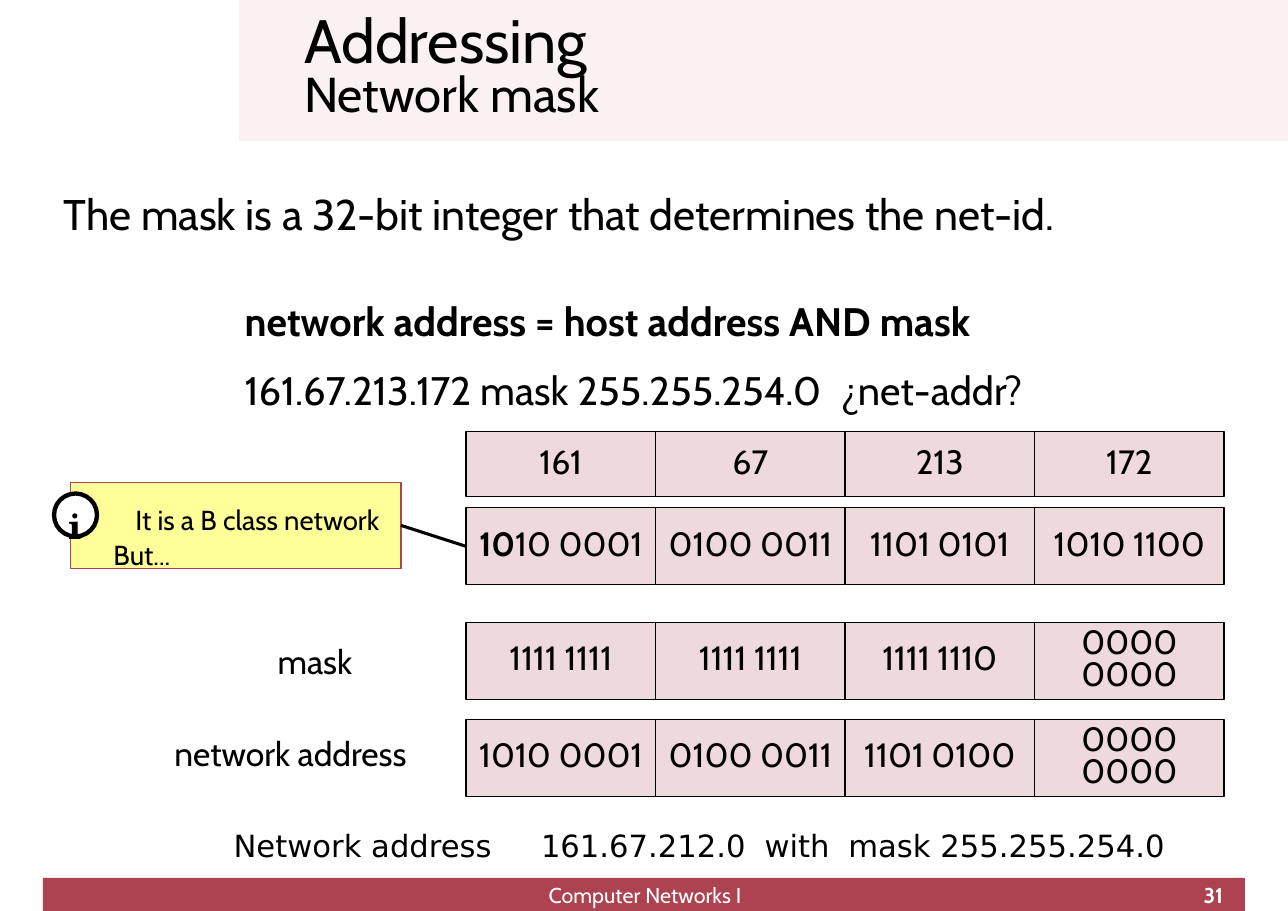
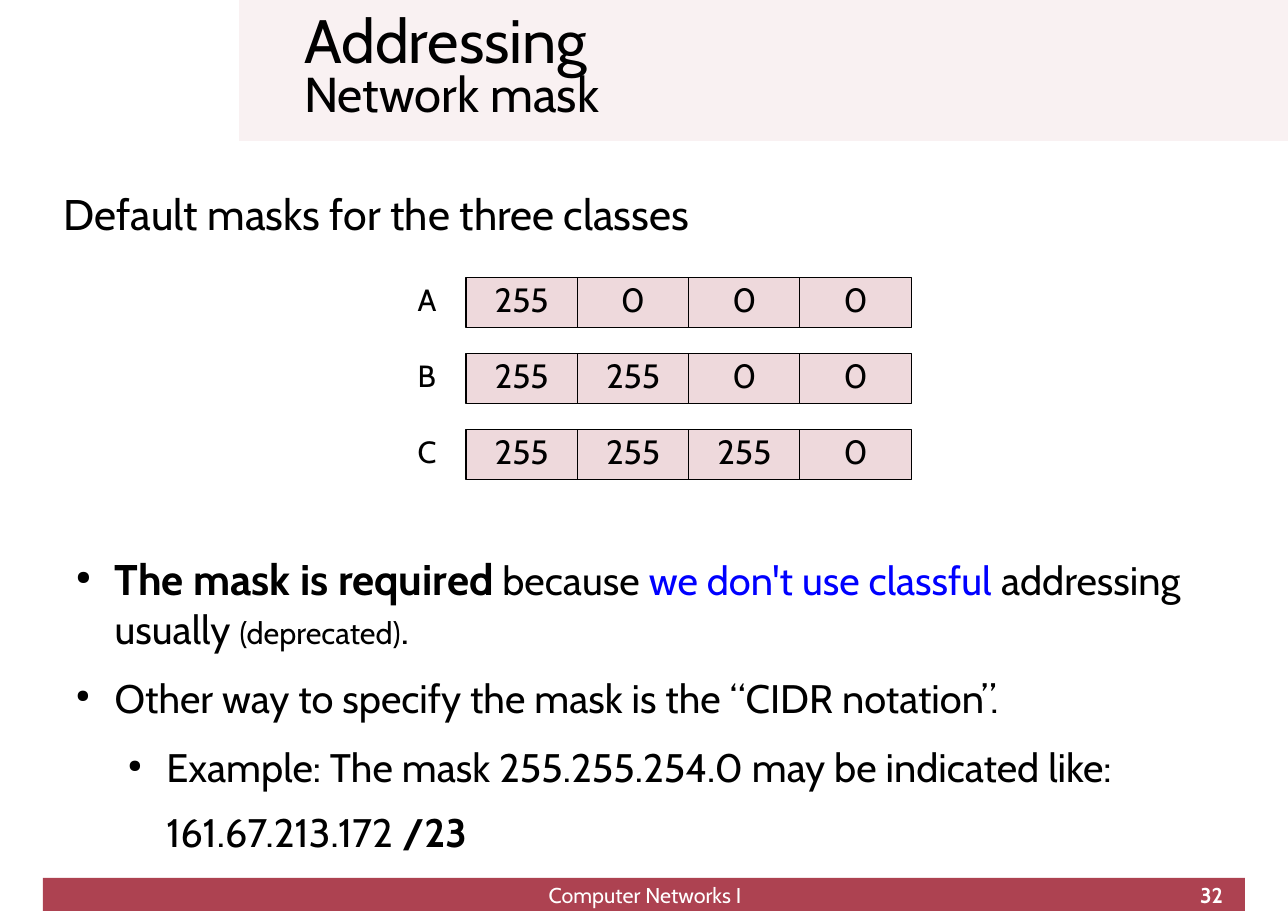
import pptx
import pptx.util
import pptx.dml.color
import pptx.enum.shapes
import pptx.enum.text
from lxml import etree

Inches, Pt = pptx.util.Inches, pptx.util.Pt
Rgb = pptx.dml.color.RGBColor.from_string
Kind = pptx.enum.shapes.MSO_SHAPE
Align = pptx.enum.text.PP_ALIGN
Anchor = pptx.enum.text.MSO_ANCHOR

THEME = {
    "font": "Cabin", "black": "000000", "white": "FFFFFF", "blue": "0000FF",
    "band": "F9F1F2", "wine": "AD4251", "cell": "EED9DC", "note": "FFFF99",
    "title": 40, "sub": 32, "lead": 28, "body": 26, "icon": 24,
    "grid": 22, "small": 20, "hint": 18, "foot": 14,
}


def write(shape, paras, size, align=Align.LEFT, line=None, after=None,
          anchor=Anchor.TOP, inset=(0, 0), **base):
    """Fill a shape; each paragraph is a string or a list of (text, format) runs."""
    frame = shape.text_frame
    frame.word_wrap = True
    frame.vertical_anchor = anchor
    frame.margin_left, frame.margin_top = [Inches(n) for n in inset]
    frame.margin_right = frame.margin_bottom = 0
    for i, runs in enumerate(paras):
        para = frame.add_paragraph() if i else frame.paragraphs[0]
        para.alignment = align
        para.line_spacing = line
        if after:
            para.space_after = Pt(after)
        if isinstance(runs, str):
            runs = [(runs, {})]
        for text, extra in runs:
            if text == "\v":
                para.add_line_break()
                continue
            look = {"size": size, "color": "black", "font": THEME["font"],
                    "bold": False, **base, **extra}
            run = para.add_run()
            run.text = text
            run.font.name = look["font"]
            run.font.size = Pt(THEME[look["size"]])
            run.font.bold = look["bold"]
            run.font.color.rgb = Rgb(THEME[look["color"]])
    return frame.paragraphs


def draw(slide, box, fill=None, edge=None, width=0, kind=Kind.RECTANGLE):
    """Add a flat shape, or a text box when there is no fill."""
    place = [Inches(n) for n in box]
    if fill is None:
        return slide.shapes.add_textbox(*place)
    shape = slide.shapes.add_shape(kind, *place)
    shape.shadow.inherit = False
    shape.fill.solid()
    shape.fill.fore_color.rgb = Rgb(THEME[fill])
    if edge:
        shape.line.color.rgb = Rgb(THEME[edge])
        shape.line.width = Pt(width)
    else:
        shape.line.fill.background()
    return shape


deck = pptx.Presentation()
deck.slide_width, deck.slide_height = Inches(11.69), Inches(8.27)

# Shared frame
slides = []
for number, lead in [(31, "The mask is a 32-bit integer that determines the net-id."),
                     (32, "Default masks for the three classes")]:
    slide = deck.slides.add_slide(deck.slide_layouts[6])
    slides.append(slide)
    draw(slide, (2.17, 0, 9.52, 1.28), "band")
    draw(slide, (0.39, 7.97, 10.91, 0.3), "wine")
    write(draw(slide, (2.76, -0.06, 8.35, 1.38)),
          [[("Addressing", {}), ("\v", {}), ("Network mask", {"size": "sub"})]],
          "title", line=0.8, anchor=Anchor.MIDDLE)
    write(draw(slide, (0.58, 1.7, 10.52, 0.57)), [lead], "lead")
    write(draw(slide, (4, 8.01, 3.71, 0.23)), ["Computer Networks I"],
          "foot", Align.CENTER, color="white")
    write(draw(slide, (8.38, 8.01, 2.72, 0.23)), [str(number)],
          "foot", Align.RIGHT, color="white", bold=True)
first, second = slides

# Grids of octets: slide, top, cell width, cell height, values
GRID = 4.23
rows = [
    (first, 3.92, 1.72, 0.59, ["161", "67", "213", "172"]),
    (first, 4.61, 1.72, 0.7, [[("10", {"bold": True}), ("10 0001", {})],
                              "0100 0011", "1101 0101", "1010 1100"]),
    (first, 5.65, 1.72, 0.7, ["1111 1111", "1111 1111", "1111 1110", "0000 0000"]),
    (first, 6.53, 1.72, 0.7, ["1010 0001", "0100 0011", "1101 0100", "0000 0000"]),
]
for i, name in enumerate("ABC"):
    top = 2.52 + 0.69 * i
    rows.append((second, top, 1.01, 0.45, ["255"] * (i + 1) + ["0"] * (3 - i)))
    write(draw(second, (3.79, top, 0.3, 0.45)), [name], "small", line=1.08)

heads = []
for slide, top, wide, high, values in rows:
    for col, value in enumerate(values):
        cell = draw(slide, (GRID + wide * col, top, wide, high), "cell", "black")
        write(cell, [value], "grid", Align.CENTER, 0.8, anchor=Anchor.MIDDLE)
        if col == 0:
            heads.append(cell)

# Row labels and formula
write(draw(first, (2.52, 5.79, 1.17, 0.49)), ["mask"], "grid", line=1.08)
write(draw(first, (1.49, 6.62, 2.2, 0.49)), ["network address"],
      "grid", Align.RIGHT, 1.08)
rule = write(draw(first, (2.22, 2.69, 7.78, 1.2)),
             [[("network address = host address AND mask", {"bold": True})],
              "161.67.213.172 mask 255.255.254.0\t¿net-addr?"],
             "body", after=14.1)
answer = write(draw(first, (2.12, 7.48, 8.75, 0.41)),
               ["Network address\t161.67.212.0\twith\tmask 255.255.254.0"],
               "small", line=1.08, font="DejaVu Sans")
for para, stops in [(rule[1], [5.41]), (answer[0], [2.79, 4.82, 5.58])]:
    tabs = pptx.oxml.ns.qn("a:tabLst")
    tabs = etree.SubElement(para._p.get_or_add_pPr(), tabs)
    for stop in stops:
        etree.SubElement(tabs, pptx.oxml.ns.qn("a:tab"),
                         pos=str(Inches(stop)), algn="l")

# Callout
note = draw(first, (0.64, 4.38, 3, 0.78), "note", "wine")
lines = write(note, ["It is a B class network", "But..."], "hint",
              line=1.08, inset=(0.39, 0.16))
lines[0].alignment = Align.CENTER
draw(first, (0.49, 4.48, 0.39, 0.39), "white", "black", 2.83, Kind.OVAL)
write(draw(first, (0.59, 4.53, 0.19, 0.49)), ["i"], "icon", Align.CENTER, 1.08,
      font="TeX Gyre Schola", bold=True)
link = first.shapes.add_connector(pptx.enum.shapes.MSO_CONNECTOR.STRAIGHT, 0, 0, 0, 0)
link.begin_connect(note, 3)
link.end_connect(heads[1], 1)
link.line.color.rgb = Rgb(THEME["black"])
link.line.width = Pt(0)
etree.SubElement(link._element.spPr, pptx.oxml.ns.qn("a:effectLst"))

# Remarks on masks
small = {"size": "small"}
points = write(draw(second, (0.57, 5.02, 10.9, 2.79)), [
    [("The mask is required", {"size": "lead", "bold": True}), (" because ", {}),
     ("we don't use classful ", {"color": "blue"}), ("addressing", {}),
     (" ", small), ("usually ", {}), ("(deprecated)", small), (".", {})],
    "Other way to specify the mask is the “CIDR notation”.",
    "Example: The mask 255.255.254.0 may be indicated like:",
    [("161.67.213.172 ", {}), ("/23", {"bold": True})],
], "body", after=14.1)
for i, para in enumerate(points):
    para.level = i // 2
    if para.level:
        para.space_after = Pt(11.3)
    props = para._p.get_or_add_pPr()
    props.set("marL", str(Inches(0.47 * (1 + para.level))))
    props.set("indent", str(Inches(-0.35 if i < 3 else 0)))
    if i < 3:
        color = etree.SubElement(props, pptx.oxml.ns.qn("a:buClr"))
        etree.SubElement(color, pptx.oxml.ns.qn("a:srgbClr"), val=THEME["black"])
        etree.SubElement(props, pptx.oxml.ns.qn("a:buSzPct"), val="45000")
        etree.SubElement(props, pptx.oxml.ns.qn("a:buChar"), char="●")

deck.save("out.pptx")
